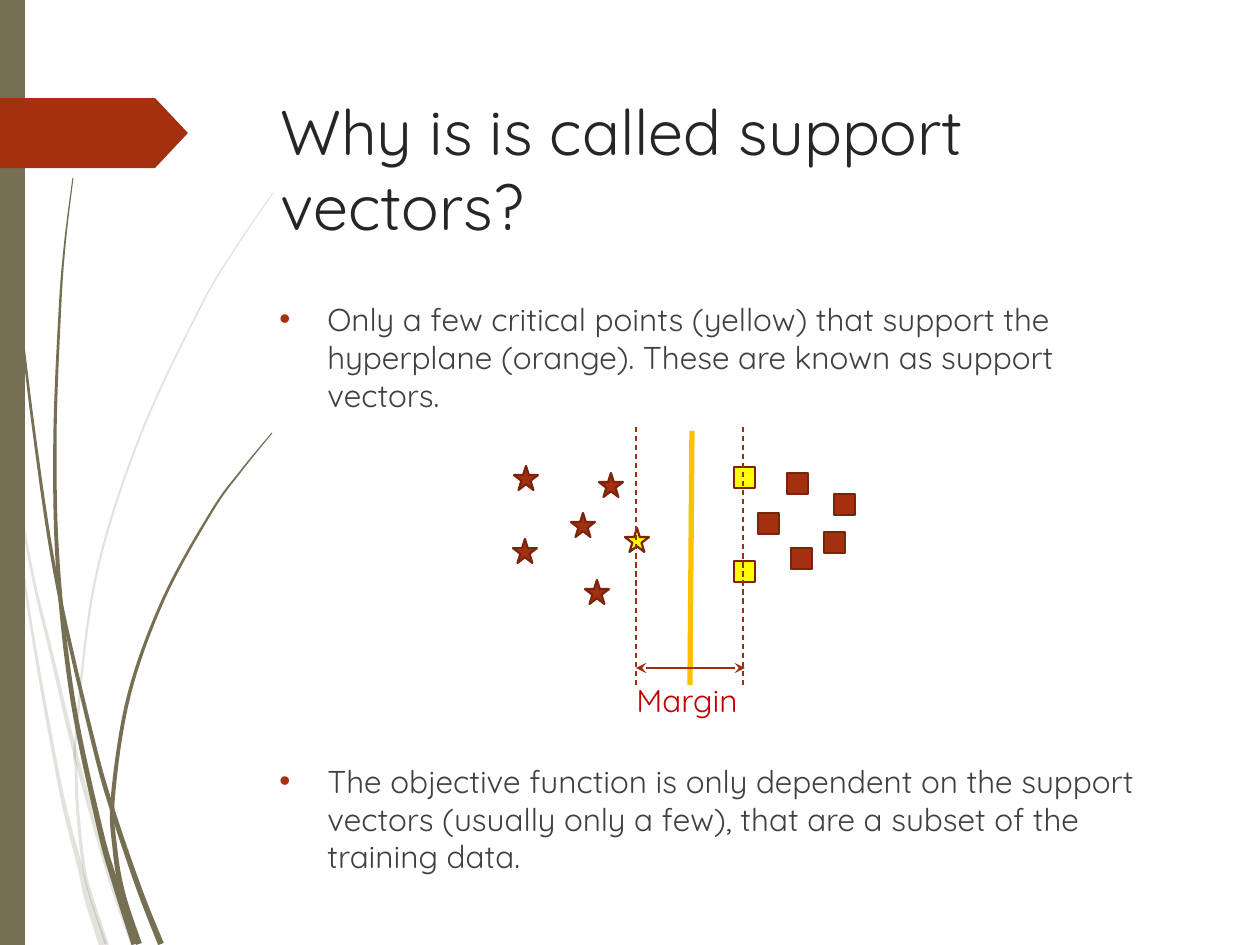
"""Build a slide explaining why support vectors carry that name."""
from math import hypot

from lxml import etree
from pptx import Presentation
from pptx.dml.color import RGBColor
from pptx.enum.dml import MSO_LINE
from pptx.enum.shapes import MSO_CONNECTOR, MSO_SHAPE
from pptx.enum.text import MSO_ANCHOR
from pptx.oxml.ns import qn
from pptx.util import Pt

RECTANGLE = MSO_SHAPE.RECTANGLE
STAR = MSO_SHAPE.STAR_5_POINT
BANNER = MSO_SHAPE.PENTAGON
STRAIGHT = MSO_CONNECTOR.STRAIGHT
DASH = MSO_LINE.DASH
TOP = MSO_ANCHOR.TOP

FONT = "Quicksand"
COLORS = {
    "olive": "766F54", "rust": "A53010", "outline": "7A240C",
    "support": "FFFF00", "hyperplane": "FFC000", "margin": "9E2E0F",
    "title": "262626", "body": "404040", "label": "C00000",
}
STAR_SIZE, SQUARE_SIZE = 24, 21
STARS = [(514, 466), (571, 513), (513, 539), (599, 473), (585, 580)]
SUPPORT_STARS = [(625, 528)]
SQUARES = [(787, 473), (824, 532), (758, 513), (791, 548), (834, 494)]
SUPPORT_SQUARES = [(734, 561), (734, 467)]

PALE_BLADES = [
    (6, [(0, 366), (9, 436), (30, 562), (52, 656), (75, 752), (109, 873),
         (134, 945)]),
    (8, [(10, 441), (26, 592), (59, 781), (80, 867), (88, 900), (103, 945)]),
    (4, [(273, 193), (235, 249), (200, 308), (139, 439), (95, 581),
         (76, 736), (76, 769), (78, 814), (84, 868), (91, 896), (107, 945)]),
]
DARK_BLADES = [
    (6, [(3, 0), (7, 138), (18, 293), (36, 447), (58, 588), (94, 745),
         (114, 815), (140, 891), (161, 944)]),
    (7, [(73, 178), (65, 243), (60, 309), (55, 440), (58, 567), (73, 701),
         (100, 829), (115, 882), (135, 944)]),
    (6, [(272, 433), (241, 471), (212, 511), (164, 598), (129, 695),
         (113, 796), (115, 849), (123, 895), (139, 944)]),
]
BODY = [
    ("Only a few critical points (yellow) that support the hyperplane "
     "(orange). These are known as support vectors.", 0),
    ("The objective function is only dependent on the support vectors "
     "(usually only a few), that are a subset of the training data.", 199),
]


def px(length):
    """Turn pixels into EMU."""
    return round(length * 914400 / 126)


def color(name):
    """Look up a named colour."""
    return RGBColor.from_string(COLORS[name])


def paint(shape, fill, outline=None):
    """Give a shape a flat fill and an optional outline."""
    shape.shadow.inherit = False
    shape.fill.solid()
    shape.fill.fore_color.rgb = color(fill)
    if outline:
        shape.line.color.rgb = color(outline)
        shape.line.width = Pt(1.25)
    else:
        shape.line.fill.background()
    return shape


def add_block(page, kind, left, top, width, height, fill, outline=None):
    """Add a preset shape."""
    block = page.shapes.add_shape(kind, px(left), px(top), px(width), px(height))
    return paint(block, fill, outline)


def smooth_curve(points, steps=8):
    """Sample a smooth curve that passes through all points."""
    ends = [points[0], *points, points[-1]]
    curve = []
    for a, b, c, d in zip(ends, ends[1:], ends[2:], ends[3:]):
        for t in (step / steps for step in range(steps)):
            curve.append(tuple(
                q + t * (r - p) / 2 + t * t * (2 * p - 5 * q + 4 * r - s) / 2
                + t ** 3 * (3 * q - p - 3 * r + s) / 2
                for p, q, r, s in zip(a, b, c, d)))
    return curve + [points[-1]]


def add_blade(page, width, points, opacity=100):
    """Add a blade of grass that widens towards its root."""
    curve = smooth_curve(points)
    last = len(curve) - 1
    near, far = [], []
    for i, (x, y) in enumerate(curve):
        before, after = curve[max(i - 1, 0)], curve[min(i + 1, last)]
        dx, dy = after[0] - before[0], after[1] - before[1]
        half = (1 + (width - 1) * i / last) / 2 / hypot(dx, dy)
        near.append((px(x - dy * half), px(y + dx * half)))
        far.append((px(x + dy * half), px(y - dx * half)))
    builder = page.shapes.build_freeform(*near[0])
    builder.add_line_segments(near[1:] + far[::-1], close=True)
    blade = paint(builder.convert_to_shape(), "olive")
    if opacity < 100:
        tint = blade._element.spPr.find(qn("a:solidFill"))[0]
        etree.SubElement(tint, qn("a:alpha"), val=str(opacity * 1000))


def add_line(page, start, end, stroke, width, dashed=False, arrows=False):
    """Add a straight line, dashed or with arrowheads if asked."""
    line = page.shapes.add_connector(STRAIGHT, *map(px, start + end))
    line.line.color.rgb = color(stroke)
    line.line.width = Pt(width)
    if dashed:
        line.line.dash_style = DASH
    if arrows:
        for tip in ("a:headEnd", "a:tailEnd"):
            etree.SubElement(line.line._get_or_add_ln(), qn(tip), type="stealth")
    etree.SubElement(line._element.spPr, qn("a:effectLst"))


def add_text(page, left, top, width, height, texts, size, ink, wrap=True):
    """Add a text box with one paragraph per text and return its paragraphs."""
    box = page.shapes.add_textbox(px(left), px(top), px(width), px(height))
    frame = box.text_frame
    frame.word_wrap = wrap
    frame.vertical_anchor = TOP
    frame.text = "\n".join(texts)
    for para in frame.paragraphs:
        para.font.name = FONT
        para.font.size = Pt(size)
        para.font.color.rgb = color(ink)
    return frame.paragraphs


def add_bullet(para, indent):
    """Give a paragraph a coloured bullet with a hanging indent."""
    props = para._p.get_or_add_pPr()
    props.set("marL", str(px(indent)))
    props.set("indent", str(-px(indent)))
    bullet = etree.Element(qn("a:buChar"), char="•")
    tint = etree.Element(qn("a:buClr"))
    etree.SubElement(tint, qn("a:srgbClr"), val=COLORS["rust"])
    font = etree.Element(qn("a:buFont"), typeface="Arial")
    run_props = props.find(qn("a:defRPr"))
    for part in (tint, font, bullet):
        run_props.addprevious(part)


def add_backdrop(page):
    """Add the grass, the side bar and the banner."""
    for width, points in PALE_BLADES:
        add_blade(page, width, points, opacity=20)
    for width, points in DARK_BLADES:
        add_blade(page, width, points)
    add_block(page, RECTANGLE, 0, 0, 25, 945, "olive")
    banner = add_block(page, BANNER, 0, 98, 188, 70, "rust")
    banner.adjustments[0] = 0.47


def add_diagram(page):
    """Add the two classes, the hyperplane and the margin."""
    for kind, size, places, fill in (
            (STAR, STAR_SIZE, STARS, "rust"),
            (STAR, STAR_SIZE, SUPPORT_STARS, "support"),
            (RECTANGLE, SQUARE_SIZE, SQUARES, "rust"),
            (RECTANGLE, SQUARE_SIZE, SUPPORT_SQUARES, "support")):
        for left, top in places:
            add_block(page, kind, left, top, size, size, fill, "outline")
    for x in (743, 636):
        add_line(page, (x, 427), (x, 685), "margin", 0.75, dashed=True)
    add_line(page, (692, 431), (690, 685), "hyperplane", 3)
    add_line(page, (636, 668), (745, 668), "margin", 0.75, arrows=True)
    add_text(page, 624, 675, 134, 50, ["Margin"], 18, "label", wrap=False)


def main():
    """Build and save the slide."""
    deck = Presentation()
    deck.slide_width, deck.slide_height = px(1260), px(945)
    page = deck.slides.add_slide(deck.slide_layouts[6])
    add_backdrop(page)
    add_text(page, 268, 86, 908, 176, ["Why is is called support vectors?"],
             36, "title")
    paras = add_text(page, 267, 294, 908, 605, [text for text, _ in BODY],
                     18, "body")
    for para, (_, gap) in zip(paras, BODY):
        para.space_before = Pt(gap)
        add_bullet(para, 48)
    add_diagram(page)
    deck.save("out.pptx")


if __name__ == "__main__":
    main()
